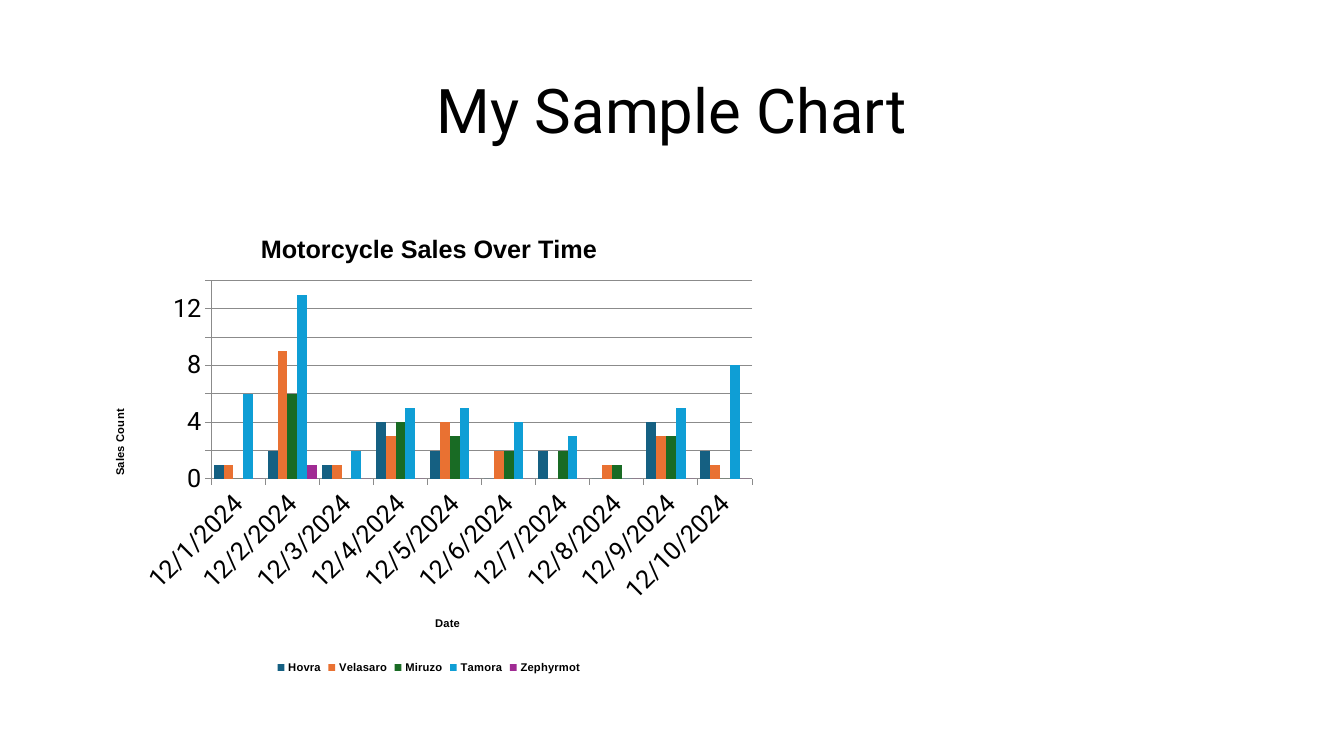
from dataclasses import dataclass

from pptx import Presentation
from pptx.chart.data import CategoryChartData
from pptx.dml.color import RGBColor
from pptx.enum.chart import XL_CHART_TYPE as ChartType
from pptx.enum.chart import XL_LEGEND_POSITION as LegendPosition
from pptx.enum.chart import XL_TICK_MARK as TickMark
from pptx.enum.text import MSO_ANCHOR as Anchor
from pptx.enum.text import PP_ALIGN as Align
from pptx.util import Pt


@dataclass(frozen=True)
class Theme:
    text: str = "000000"
    line: str = "8B8B8B"
    body_font: str = "Roboto"
    label_font: str = "Arial"
    heading_size: int = 44
    chart_size: int = 18
    label_size: int = 8


@dataclass(frozen=True)
class Frame:
    left: float
    top: float
    width: float
    height: float

    def lengths(self) -> tuple:
        return Pt(self.left), Pt(self.top), Pt(self.width), Pt(self.height)


@dataclass(frozen=True)
class Brand:
    name: str
    sales: tuple
    color: str


THEME = Theme()
HEADING_FRAME = Frame(66, 28.75, 828, 104.38)
CHART_FRAME = Frame(66, 152.1, 480.8, 332.1)
DATES = [f"12/{day}/2024" for day in range(1, 11)]
BRANDS = [
    Brand("Hovra", (1, 2, 1, 4, 2, 0, 2, 0, 4, 2), "156082"),
    Brand("Velasaro", (1, 9, 1, 3, 4, 2, 0, 1, 3, 1), "E97132"),
    Brand("Miruzo", (0, 6, 0, 4, 3, 2, 2, 1, 3, 0), "196B24"),
    Brand("Tamora", (6, 13, 2, 5, 5, 4, 3, 0, 5, 8), "0F9ED5"),
    Brand("Zephyrmot", (0, 1, 0, 0, 0, 0, 0, 0, 0, 0), "A02B93"),
]


def style_font(font, name: str, size: float, bold: bool = False) -> None:
    font.name = name
    font.size = Pt(size)
    font.bold = bold
    font.color.rgb = RGBColor.from_string(THEME.text)


def set_title(text_frame, text: str, size: float) -> None:
    """Write a bold title for the chart or one of its axes."""
    para = text_frame.paragraphs[0]
    para.text = text
    style_font(para.runs[0].font, THEME.label_font, size, bold=True)


def style_line(line) -> None:
    line.color.rgb = RGBColor.from_string(THEME.line)
    line.width = Pt(0.75)


def style_axis(axis, title: str) -> None:
    set_title(axis.axis_title.text_frame, title, THEME.label_size)
    axis.major_tick_mark = TickMark.OUTSIDE
    axis.minor_tick_mark = TickMark.NONE
    style_line(axis.format.line)
    style_font(axis.tick_labels.font, THEME.body_font, THEME.chart_size)


def add_heading(page, text: str) -> None:
    box = page.shapes.add_textbox(*HEADING_FRAME.lengths())
    frame = box.text_frame
    frame.word_wrap = True
    frame.vertical_anchor = Anchor.MIDDLE
    frame.text = text
    para = frame.paragraphs[0]
    para.alignment = Align.CENTER
    para.line_spacing = 0.9
    style_font(para.runs[0].font, THEME.body_font, THEME.heading_size)


def add_sales_chart(page) -> None:
    data = CategoryChartData()
    data.categories = DATES
    for brand in BRANDS:
        data.add_series(brand.name, brand.sales)
    chart = page.shapes.add_chart(
        ChartType.COLUMN_CLUSTERED, *CHART_FRAME.lengths(), data
    ).chart
    style_font(chart.font, THEME.body_font, THEME.chart_size)
    set_title(
        chart.chart_title.text_frame, "Motorcycle Sales Over Time", THEME.chart_size
    )
    chart.chart_title.include_in_layout = False

    # Columns
    plot = chart.plots[0]
    plot.gap_width = 50
    plot.overlap = 0
    plot.vary_by_categories = False
    for series, brand in zip(plot.series, BRANDS):
        series.format.fill.solid()
        series.format.fill.fore_color.rgb = RGBColor.from_string(brand.color)

    # Axes, with dates that slant when space is short
    dates, counts = chart.category_axis, chart.value_axis
    style_axis(dates, "Date")
    style_axis(counts, "Sales Count")
    counts.has_major_gridlines = True
    style_line(counts.major_gridlines.format.line)

    # Legend
    chart.has_legend = True
    chart.legend.position = LegendPosition.BOTTOM
    chart.legend.include_in_layout = False
    style_font(chart.legend.font, THEME.label_font, THEME.label_size, bold=True)


def main() -> None:
    deck = Presentation()
    deck.slide_width, deck.slide_height = Pt(960), Pt(540)
    page = deck.slides.add_slide(deck.slide_layouts[6])
    add_heading(page, "My Sample Chart")
    add_sales_chart(page)
    deck.save("out.pptx")


if __name__ == "__main__":
    main()
